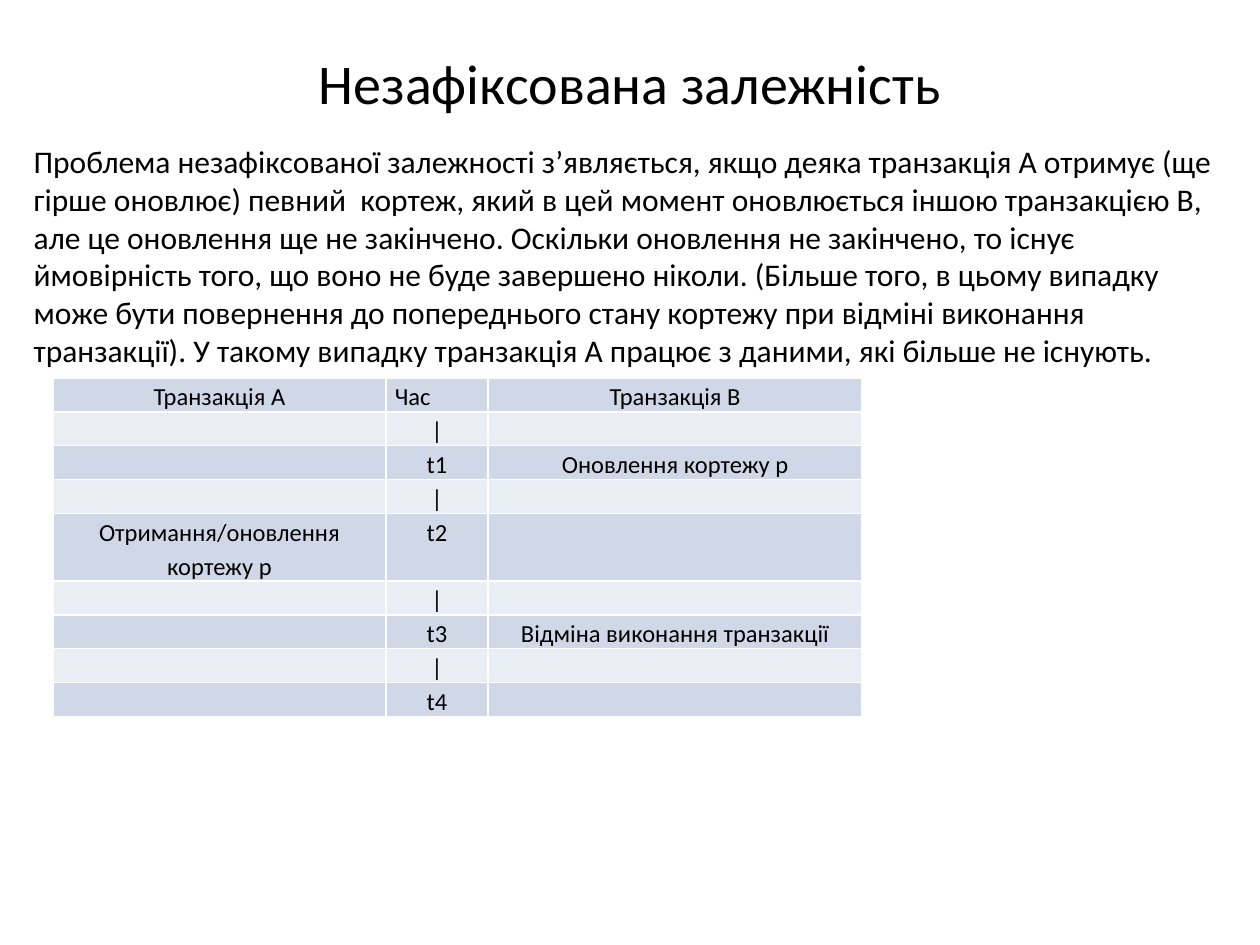
from dataclasses import dataclass

from lxml import etree
from pptx import Presentation
from pptx import util as u
from pptx.dml.color import RGBColor
from pptx.enum import text
from pptx.oxml.ns import qn

COLORS = {"text": "000000", "border": "FFFFFF", "odd": "D0D8E8", "even": "E9EDF4"}
FONT = "Calibri"
CELL_SIZE = 14
ROW_HEIGHT = 0.68
COLUMN_WIDTHS = (6.71, 2.06, 7.54)

TITLE = "Незафіксована залежність"
BODY = (
    "Проблема незафіксованої залежності з’являється, якщо деяка транзакція А отримує "
    "(ще гірше оновлює) певний  кортеж, який в цей момент оновлюється іншою "
    "транзакцією В, але це оновлення ще не закінчено. Оскільки оновлення не закінчено, "
    "то існує ймовірність того, що воно не буде завершено ніколи. (Більше того, в цьому "
    "випадку може бути повернення до попереднього стану кортежу при відміні виконання "
    "транзакції). У такому випадку транзакція А працює з даними, які більше не існують."
)


@dataclass
class Step:
    """One row of the transaction timeline."""
    time: str
    first: str = ""
    second: str = ""
    lines: int = 1


TICK = Step("|")
STEPS = [
    Step("Час", "Транзакція А", "Транзакція В"),
    TICK,
    Step("t1", second="Оновлення кортежу р"),
    TICK,
    Step("t2", first="Отримання/оновлення кортежу р", lines=2),
    TICK,
    Step("t3", second="Відміна виконання транзакції"),
    TICK,
    Step("t4"),
]


def place(shape, left: float, top: float, width: float, height: float) -> None:
    shape.left, shape.top = u.Cm(left), u.Cm(top)
    shape.width, shape.height = u.Cm(width), u.Cm(height)


def add_run(paragraph, content: str, size: int) -> None:
    run = paragraph.add_run()
    run.text = content
    run.font.name = FONT
    run.font.size = u.Pt(size)
    run.font.color.rgb = RGBColor.from_string(COLORS["text"])


def add_borders(cell) -> None:
    properties = cell._tc.get_or_add_tcPr()
    for side in ("a:lnL", "a:lnR", "a:lnT", "a:lnB"):
        line = etree.SubElement(properties, qn(side), w=str(u.Pt(1)))
        fill = etree.SubElement(line, qn("a:solidFill"))
        etree.SubElement(fill, qn("a:srgbClr"), val=COLORS["border"])


def format_cell(cell, content: str, color: str, centered: bool) -> None:
    cell.margin_left = cell.margin_right = u.Cm(0.18)
    cell.margin_top = cell.margin_bottom = 0
    add_borders(cell)
    cell.fill.solid()
    cell.fill.fore_color.rgb = RGBColor.from_string(color)
    paragraph = cell.text_frame.paragraphs[0]
    if content:
        paragraph.line_spacing = 1.15
        paragraph.alignment = text.PP_ALIGN.CENTER if centered else text.PP_ALIGN.LEFT
        add_run(paragraph, content, CELL_SIZE)
    else:
        # Keeps empty cells from stretching their row
        etree.SubElement(paragraph._p, qn("a:endParaRPr"), sz=str(CELL_SIZE * 100))


def add_timeline(slide, left: float, top: float, steps: list[Step]) -> None:
    height = ROW_HEIGHT * sum(step.lines for step in steps)
    frame = slide.shapes.add_table(
        len(steps), len(COLUMN_WIDTHS),
        u.Cm(left), u.Cm(top), u.Cm(sum(COLUMN_WIDTHS)), u.Cm(height))
    table = frame.table
    for column, width in zip(table.columns, COLUMN_WIDTHS):
        column.width = u.Cm(width)
    for index, step in enumerate(steps):
        table.rows[index].height = u.Cm(ROW_HEIGHT * step.lines)
        color = COLORS["even" if index % 2 else "odd"]
        for column, content in enumerate((step.first, step.time, step.second)):
            centered = (index, column) != (0, 1)
            format_cell(table.cell(index, column), content, color, centered)


def main() -> None:
    presentation = Presentation()
    presentation.slide_width, presentation.slide_height = u.Cm(25.4), u.Cm(19.05)
    slide = presentation.slides.add_slide(presentation.slide_layouts[5])

    # Title
    title = slide.shapes.title
    place(title, 1.27, 0.76, 22.86, 1.78)
    title.text_frame.vertical_anchor = text.MSO_ANCHOR.MIDDLE
    heading = title.text_frame.paragraphs[0]
    heading.alignment = text.PP_ALIGN.CENTER
    add_run(heading, TITLE, 32)

    # Explanation
    body = slide.shapes.add_textbox(u.Cm(0.43), u.Cm(2.74), u.Cm(24.33), u.Cm(4.88))
    body.text_frame.word_wrap = True
    body.text_frame.auto_size = text.MSO_AUTO_SIZE.SHAPE_TO_FIT_TEXT
    add_run(body.text_frame.paragraphs[0], BODY, 18)

    # Transaction timeline
    add_timeline(slide, 1.07, 7.62, STEPS)

    presentation.save("out.pptx")


if __name__ == "__main__":
    main()
